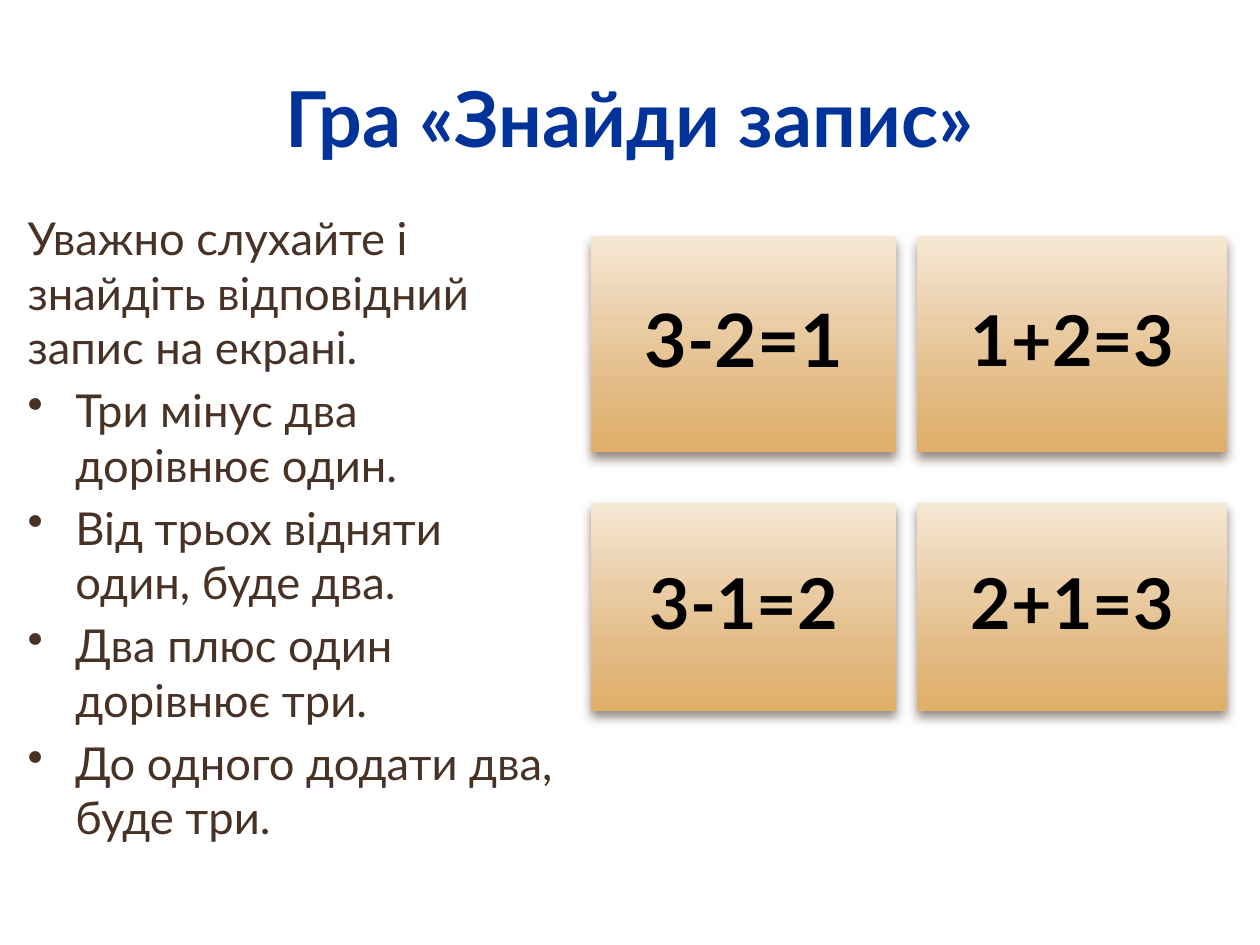
from pptx import Presentation
from pptx.dml.color import RGBColor
from pptx.enum.shapes import MSO_SHAPE
from pptx.enum.text import MSO_ANCHOR, PP_ALIGN
from pptx.oxml import parse_xml
from pptx.oxml.ns import nsdecls
from pptx.util import Inches, Pt

FONT = "Lato"
COLORS = {
    "title": "00339A", "outline": "F2F2F2", "body": "483226", "answer": "000000",
    "card_top": "F5E7D4", "card_middle": "E2BA83", "card_bottom": "E0AF68",
    "shadow": "4E3B30",
}
INTRO = "Уважно слухайте і знайдіть відповідний запис на екрані."
TASKS = [
    "Три мінус два дорівнює один.",
    "Від трьох відняти один, буде два.",
    "Два плюс один дорівнює три.",
    "До одного додати два, буде три.",
]
EQUATIONS = [["3-2=1", "1+2=3"], ["3-1=2", "2+1=3"]]


def xml(tag, attributes="", content=""):
    return parse_xml(f"<a:{tag} {nsdecls('a')} {attributes}>{content}</a:{tag}>")


def solid(color):
    return f'<a:srgbClr val="{COLORS[color]}"/>'


def style(para, size, color, bold=False):
    para.font.name = FONT
    para.font.size = Pt(size)
    para.font.bold = bold
    para.font.color.rgb = RGBColor.from_string(COLORS[color])


def add_text_box(page, box):
    frame = page.shapes.add_textbox(*map(Inches, box)).text_frame
    frame.word_wrap = True
    return frame


def add_title(page, box, text):
    frame = add_text_box(page, box)
    frame.vertical_anchor = MSO_ANCHOR.MIDDLE
    para = frame.paragraphs[0]
    para.alignment = PP_ALIGN.CENTER
    style(para, 44, "title", bold=True)
    span = para.add_run()
    span.text = text
    fill = f"<a:solidFill>{solid('outline')}</a:solidFill>"
    span.font._element.insert(0, xml("ln", 'w="1905"', fill))


def add_tasks(page, box, intro, tasks):
    frame = add_text_box(page, box)
    for index, text in enumerate([intro, *tasks]):
        para = frame.paragraphs[0] if index == 0 else frame.add_paragraph()
        para.text = text
        para.space_before = Pt(5)
        style(para, 25.9, "body")
        if index:
            properties = para._p.get_or_add_pPr()
            properties.set("marL", str(Inches(0.38)))
            properties.set("indent", str(-Inches(0.38)))
            bullet = xml("buChar", 'char="•"')
            properties.insert_element_before(bullet, "a:tabLst", "a:defRPr")


def add_card(page, box, text, size):
    card = page.shapes.add_shape(MSO_SHAPE.RECTANGLE, *map(Inches, box))
    card.line.fill.background()
    card.shadow.inherit = False
    card.fill.gradient()
    card.fill.gradient_angle = 270
    stops = card.fill._fill._gradFill.find(".//{*}gsLst")
    for stop in list(stops):
        stops.remove(stop)
    for share, color in [(0, "card_top"), (72, "card_middle"), (100, "card_bottom")]:
        stops.append(xml("gs", f'pos="{share * 1000}"', solid(color)))
    shade = solid("shadow").replace("/>", '><a:alpha val="60000"/></a:srgbClr>')
    effects = card._element.spPr.find("{*}effectLst")
    effects.append(xml(
        "outerShdw",
        f'blurRad="{Pt(6)}" dist="{Pt(4)}" dir="5400000" rotWithShape="0"', shade))

    card.text_frame.vertical_anchor = MSO_ANCHOR.MIDDLE
    para = card.text_frame.paragraphs[0]
    para.text = text
    para.alignment = PP_ALIGN.CENTER
    para.line_spacing = 0.9
    style(para, size, "answer", bold=True)


def add_cards(page, box, equations):
    """Lay the cards in a two by two grid whose tracks are shares of the box."""
    left, top, width, height = box
    columns = [(0, 0.48), (0.513, 0.487)]
    rows = [(0, 0.456), (0.562, 0.438)]
    for line, (y, tall) in zip(equations, rows):
        for text, (x, wide) in zip(line, columns):
            cell = (left + x * width, top + y * height, wide * width, tall * height)
            add_card(page, cell, text, 42 if text == equations[0][0] else 40)


def main():
    deck = Presentation()
    deck.slide_width, deck.slide_height = Inches(10), Inches(7.5)
    page = deck.slides.add_slide(deck.slide_layouts[6])
    add_title(page, (0.5, 0.3, 9, 1.25), "Гра «Знайди запис»")
    add_tasks(page, (0.12, 1.62, 4.42, 4.95), INTRO, TASKS)
    add_cards(page, (4.69, 1.87, 5.05, 3.77), EQUATIONS)
    deck.save("out.pptx")


if __name__ == "__main__":
    main()
